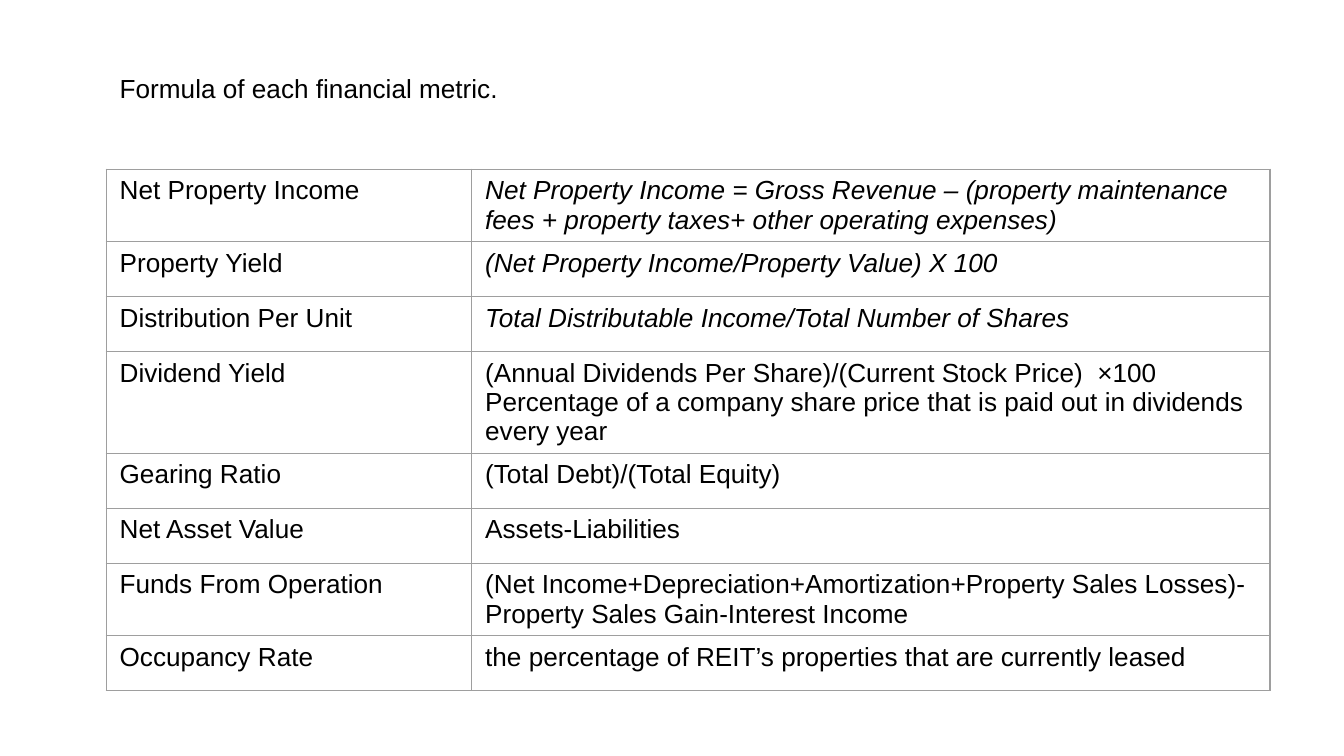
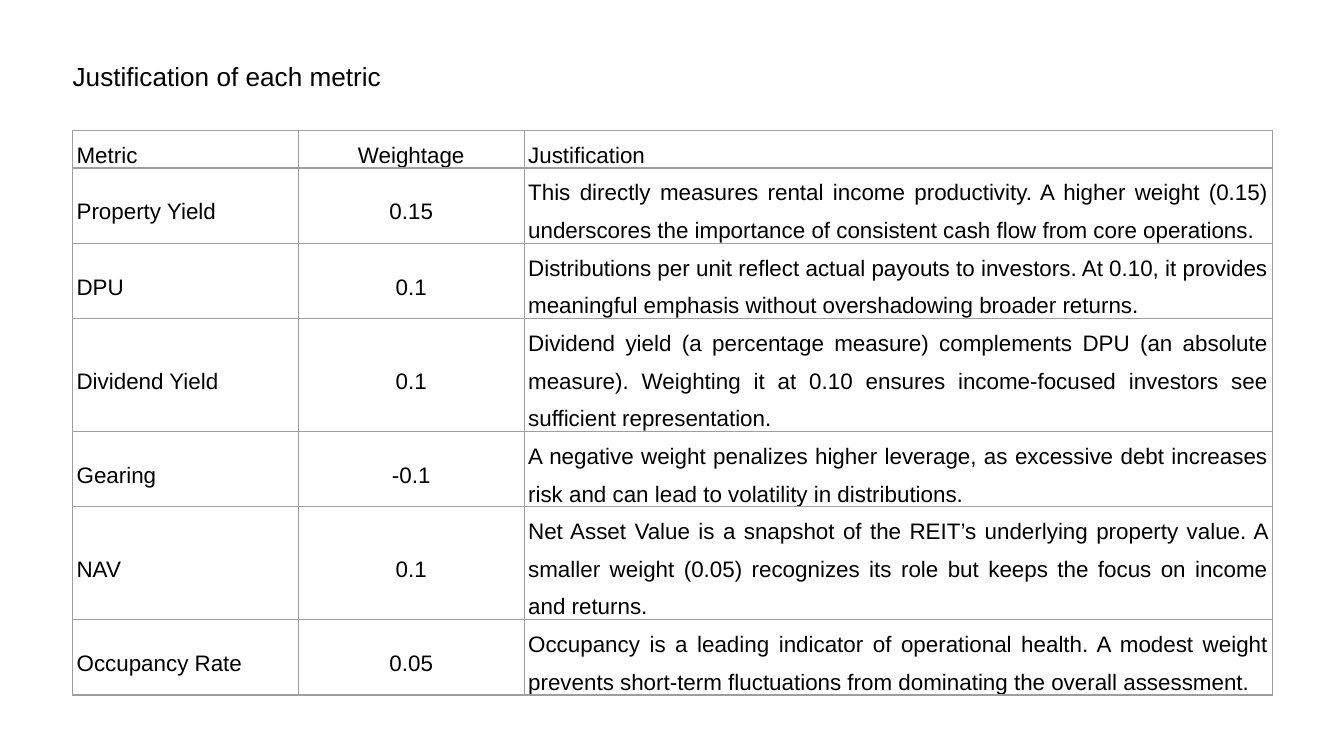
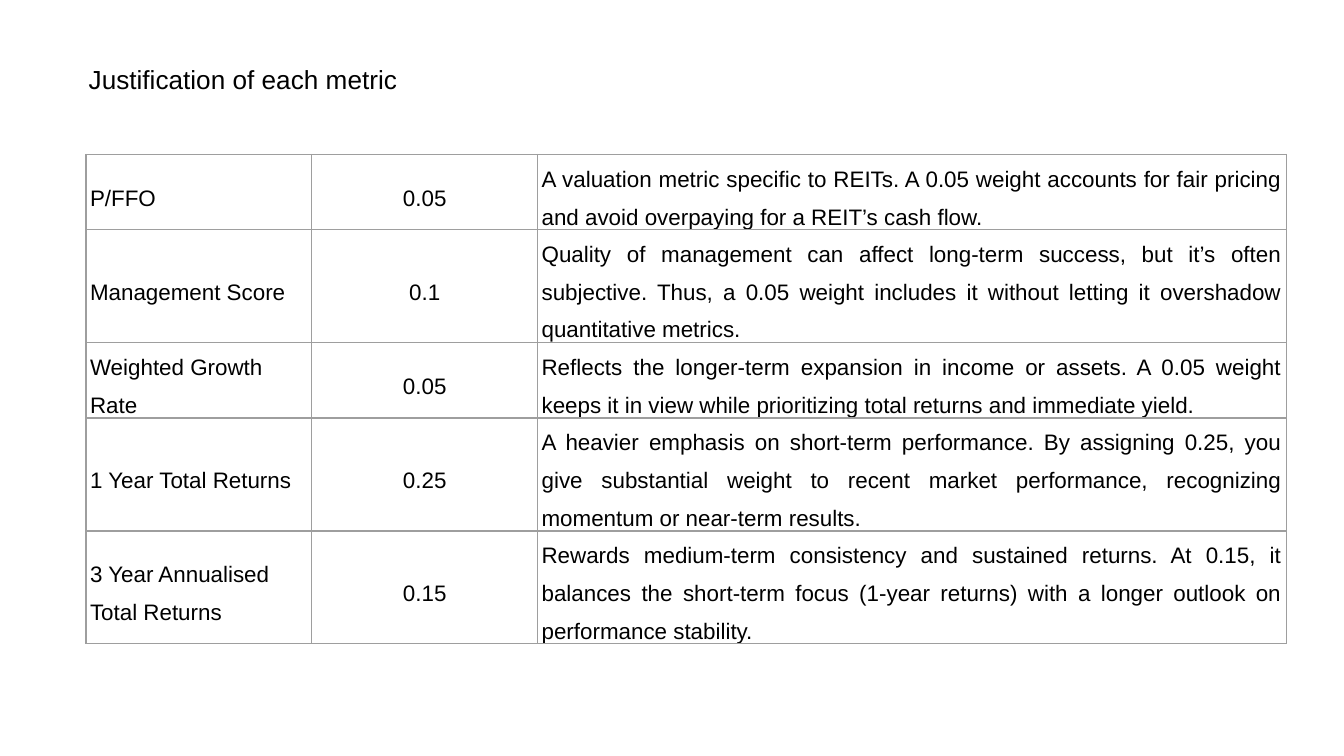
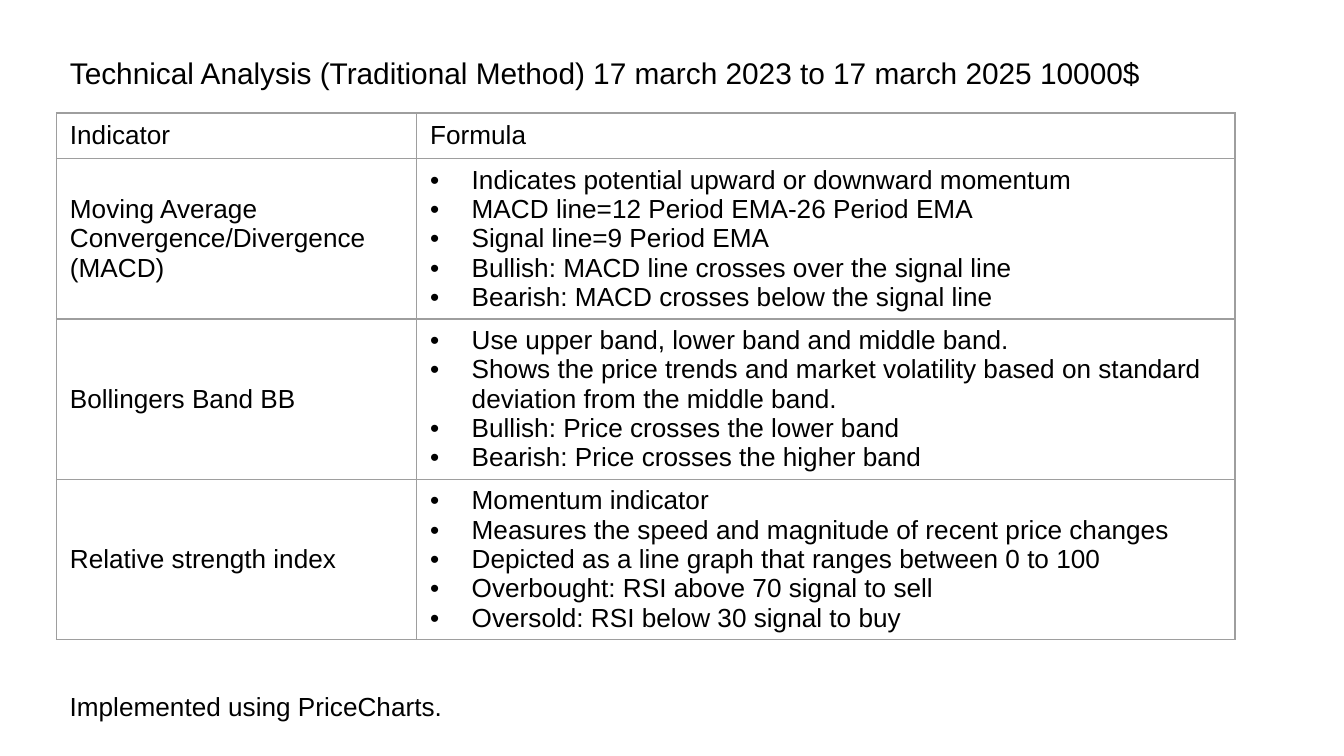
from dataclasses import dataclass

import lxml.etree
import pptx
import pptx.dml.color
import pptx.enum.text
import pptx.oxml
import pptx.oxml.ns
import pptx.presentation
import pptx.slide
import pptx.table
import pptx.text.text
import pptx.util

Inches = pptx.util.Inches
Align = pptx.enum.text.PP_ALIGN
Anchor = pptx.enum.text.MSO_ANCHOR
Box = tuple[float, float, float, float]

COLORS = {"text": "000000", "rule": "9E9E9E"}
FONT = "Arial"
RULE = 0.75
INDENT = 0.31
TITLE_ONLY = 5
WIDTH = Inches(10)
HEIGHT = WIDTH * 9 // 16


@dataclass(frozen=True)
class Column:
    width: float
    align: Align = Align.LEFT
    anchor: Anchor = Anchor.TOP
    bullets: bool = False


@dataclass(frozen=True)
class Style:
    size: int = 14
    inset: tuple[float, float] = (0.1, 0.05)
    leading: float | None = None
    after: int | None = None


@dataclass(frozen=True)
class Label:
    text: str
    box: Box
    size: int = 14


@dataclass(frozen=True)
class Grid:
    box: Box
    columns: tuple[Column, ...]
    heights: list[float]
    rows: list[tuple[str, ...]]
    style: Style = Style()
    slanted: int = 0  # leading rows with an italic last column


@dataclass(frozen=True)
class Page:
    title: Label
    grid: Grid
    note: Label | None = None


DENSE = Style(size=12, inset=(0.03, 0), leading=1.5, after=8)
WEIGHTS = (
    Column(1.68, anchor=Anchor.MIDDLE),
    Column(1.68, Align.CENTER, Anchor.MIDDLE),
    Column(5.57, Align.JUSTIFY),
)

FORMULAS = [
    ("Net Property Income",
     "Net Property Income = Gross Revenue – (property maintenance fees + property taxes+ other operating expenses)"),
    ("Property Yield", "(Net Property Income/Property Value) X 100"),
    ("Distribution Per Unit", "Total Distributable Income/Total Number of Shares"),
    ("Dividend Yield",
     "(Annual Dividends Per Share)/(Current Stock Price)  ×100\n"
     "Percentage of a company share price that is paid out in dividends every year"),
    ("Gearing Ratio", "(Total Debt)/(Total Equity)"),
    ("Net Asset Value", "Assets-Liabilities"),
    ("Funds From Operation",
     "(Net Income+Depreciation+Amortization+Property Sales Losses)-Property Sales Gain-Interest Income"),
    ("Occupancy Rate", "the percentage of REIT’s properties that are currently leased"),
]

INCOME = [
    ("Metric", "Weightage", "Justification"),
    ("Property Yield", "0.15",
     "This directly measures rental income productivity. A higher weight (0.15) underscores "
     "the importance of consistent cash flow from core operations."),
    ("DPU", "0.1",
     "Distributions per unit reflect actual payouts to investors. At 0.10, it provides "
     "meaningful emphasis without overshadowing broader returns."),
    ("Dividend Yield", "0.1",
     "Dividend yield (a percentage measure) complements DPU (an absolute measure). Weighting it "
     "at 0.10 ensures income-focused investors see sufficient representation."),
    ("Gearing", "-0.1",
     "A negative weight penalizes higher leverage, as excessive debt increases risk and can "
     "lead to volatility in distributions."),
    ("NAV", "0.1",
     "Net Asset Value is a snapshot of the REIT’s underlying property value. A smaller weight "
     "(0.05) recognizes its role but keeps the focus on income and returns."),
    ("Occupancy Rate", "0.05",
     "Occupancy is a leading indicator of operational health. A modest weight prevents "
     "short-term fluctuations from dominating the overall assessment."),
]

RETURNS = [
    ("P/FFO", "0.05",
     "A valuation metric specific to REITs. A 0.05 weight accounts for fair pricing and avoid "
     "overpaying for a REIT’s cash flow."),
    ("Management Score", "0.1",
     "Quality of management can affect long-term success, but it’s often subjective. Thus, a "
     "0.05 weight includes it without letting it overshadow quantitative metrics."),
    ("Weighted Growth Rate", "0.05",
     "Reflects the longer-term expansion in income or assets. A 0.05 weight keeps it in view "
     "while prioritizing total returns and immediate yield."),
    ("1 Year Total Returns", "0.25",
     "A heavier emphasis on short-term performance. By assigning 0.25, you give substantial "
     "weight to recent market performance, recognizing momentum or near-term results."),
    ("3 Year Annualised Total Returns", "0.15",
     "Rewards medium-term consistency and sustained returns. At 0.15, it balances the short-term "
     "focus (1-year returns) with a longer outlook on performance stability."),
]

SIGNALS = [
    ("Indicator", "Formula"),
    ("Moving Average Convergence/Divergence\n(MACD)",
     "Indicates potential upward or downward momentum\n"
     "MACD line=12 Period EMA-26 Period EMA\n"
     "Signal line=9 Period EMA\n"
     "Bullish: MACD line crosses over the signal line\n"
     "Bearish: MACD crosses below the signal line"),
    ("Bollingers Band BB",
     "Use upper band, lower band and middle band.\n"
     "Shows the price trends and market volatility based on standard deviation from the middle band.\n"
     "Bullish: Price crosses the lower band\n"
     "Bearish: Price crosses the higher band"),
    ("Relative strength index",
     "Momentum indicator\n"
     "Measures the speed and magnitude of recent price changes\n"
     "Depicted as a line graph that ranges between 0 to 100\n"
     "Overbought: RSI above 70 signal to sell\n"
     "Oversold: RSI below 30 signal to buy"),
]

PAGES = [
    Page(
        Label("Formula of each financial metric.", (0.79, 0.49, 8.43, 0.63)),
        Grid((0.79, 1.26, 8.66, 3.96), (Column(2.72), Column(5.94)),
             [0.41] * len(FORMULAS), FORMULAS, slanted=3),
    ),
    Page(
        Label("Justification of each metric", (0.44, 0.4, 5.59, 0.34)),
        Grid((0.54, 0.97, 8.92, 4.25), WEIGHTS,
             [0.12, 0.38, 0.38, 0.51, 0.38, 0.38, 0.38], INCOME, DENSE),
    ),
    Page(
        Label("Justification of each metric", (0.56, 0.42, 5.59, 0.34)),
        Grid((0.64, 1.15, 8.92, 3.72), WEIGHTS,
             [0.38, 0.38, 0.38, 0.51, 0.38], RETURNS, DENSE),
    ),
    Page(
        Label("Technical Analysis (Traditional Method) 17 march 2023 to 17 march 2025 10000$",
              (0.42, 0.36, 8.77, 0.37), 16),
        Grid((0.42, 0.84, 8.77, 4.14),
             (Column(2.68, anchor=Anchor.MIDDLE),
              Column(6.09, anchor=Anchor.MIDDLE, bullets=True)),
             [0.34] + [1.17] * 3, SIGNALS),
        Label("Implemented using PriceCharts.", (0.42, 5.09, 8.77, 0.34)),
    ),
]


def set_font(para: pptx.text.text._Paragraph, size: int, italic: bool = False) -> None:
    font = para.font
    font.name = FONT
    font.size = pptx.util.Pt(size)
    font.bold = False
    font.italic = italic
    font.color.rgb = pptx.dml.color.RGBColor.from_string(COLORS["text"])


def add_bullet(para: pptx.text.text._Paragraph) -> None:
    """Give the paragraph a hanging bullet; call before its font is set."""
    props = para._p.get_or_add_pPr()
    props.set("marL", str(Inches(INDENT)))
    props.set("indent", str(-Inches(INDENT)))
    qn = pptx.oxml.ns.qn
    color = lxml.etree.SubElement(props, qn("a:buClr"))
    lxml.etree.SubElement(color, qn("a:srgbClr"), val=COLORS["text"])
    lxml.etree.SubElement(props, qn("a:buFont"), typeface=FONT)
    lxml.etree.SubElement(props, qn("a:buChar"), char="•")


def add_rules(cell: pptx.table._Cell) -> None:
    """Draw the four borders, which must stand before the fill."""
    props = cell._tc.get_or_add_tcPr()
    for place, side in enumerate("LRTB"):
        rule = pptx.oxml.parse_xml(
            f'<a:ln{side} {pptx.oxml.ns.nsdecls("a")} w="{pptx.util.Pt(RULE)}">'
            f'<a:solidFill><a:srgbClr val="{COLORS["rule"]}"/></a:solidFill>'
            f'<a:prstDash val="solid"/></a:ln{side}>')
        props.insert(place, rule)


def fill_cell(cell: pptx.table._Cell, text: str, column: Column,
              style: Style, italic: bool) -> None:
    cell.text = text
    cell.vertical_anchor = column.anchor
    cell.margin_left = cell.margin_right = Inches(style.inset[0])
    cell.margin_top = cell.margin_bottom = Inches(style.inset[1])
    cell.fill.background()
    add_rules(cell)
    paras = cell.text_frame.paragraphs
    for para in paras:
        para.alignment = column.align
        if style.leading:
            para.line_spacing = style.leading
        if style.after:
            para.space_after = pptx.util.Pt(style.after)
        if column.bullets and len(paras) > 1:
            add_bullet(para)
        set_font(para, style.size, italic)


def add_grid(slide: pptx.slide.Slide, grid: Grid) -> None:
    frame = slide.shapes.add_table(
        len(grid.rows), len(grid.columns), *map(Inches, grid.box))
    table = frame.table
    table.first_row = table.horz_banding = False
    for col, column in zip(table.columns, grid.columns):
        col.width = Inches(column.width)
    for row, height in zip(table.rows, grid.heights):
        row.height = Inches(height)
    frame.height = Inches(grid.box[3])  # row heights are minimums
    last = len(grid.columns) - 1
    for y, texts in enumerate(grid.rows):
        for x, (text, column) in enumerate(zip(texts, grid.columns)):
            italic = y < grid.slanted and x == last
            fill_cell(table.cell(y, x), text, column, grid.style, italic)


def set_label(shape, label: Label) -> None:
    shape.left, shape.top, shape.width, shape.height = map(Inches, label.box)
    frame = shape.text_frame
    frame.text = label.text
    frame.word_wrap = True
    frame.auto_size = pptx.enum.text.MSO_AUTO_SIZE.NONE
    frame.vertical_anchor = Anchor.TOP
    para = frame.paragraphs[0]
    para.alignment = Align.LEFT
    set_font(para, label.size)


def add_page(deck: pptx.presentation.Presentation, page: Page) -> None:
    slide = deck.slides.add_slide(deck.slide_layouts[TITLE_ONLY])
    set_label(slide.shapes.title, page.title)
    add_grid(slide, page.grid)
    if page.note:
        set_label(slide.shapes.add_textbox(*map(Inches, page.note.box)), page.note)


def main() -> None:
    deck = pptx.Presentation()
    deck.slide_width = WIDTH
    deck.slide_height = HEIGHT
    for page in PAGES:
        add_page(deck, page)
    deck.save("out.pptx")


if __name__ == "__main__":
    main()
